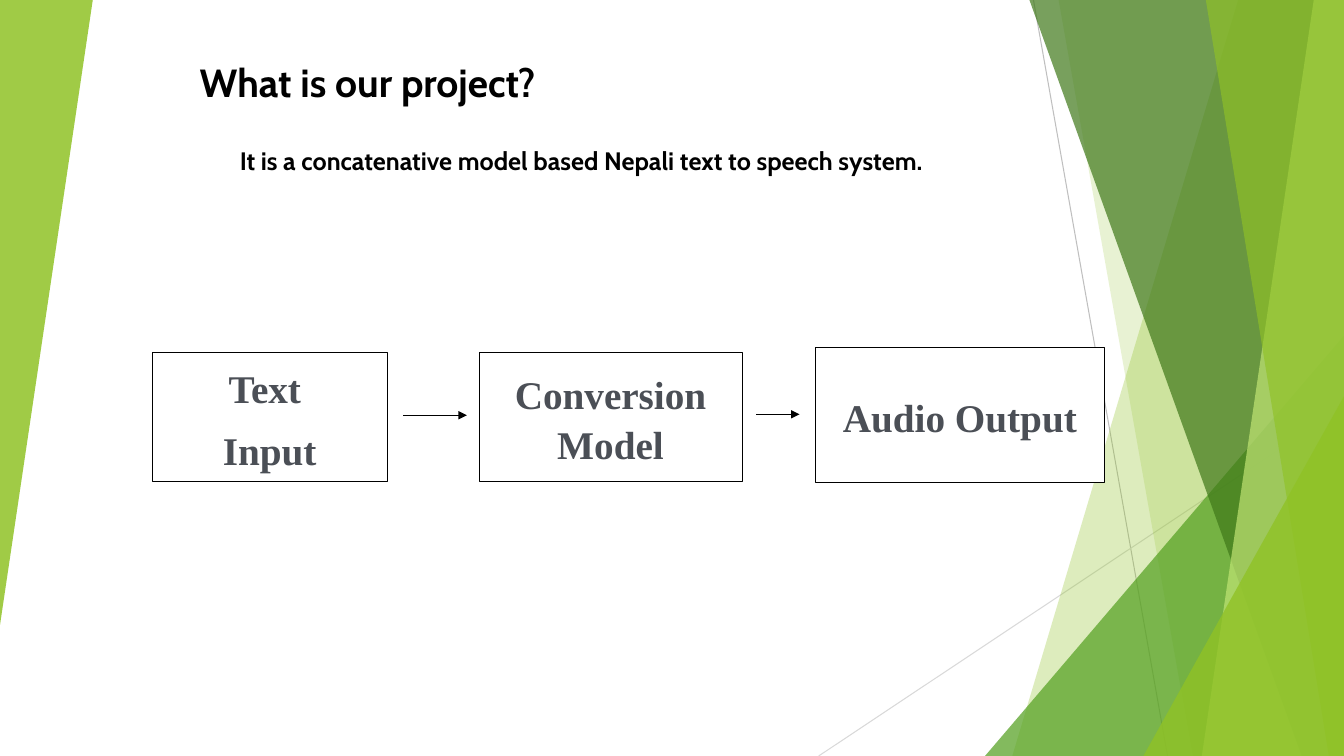
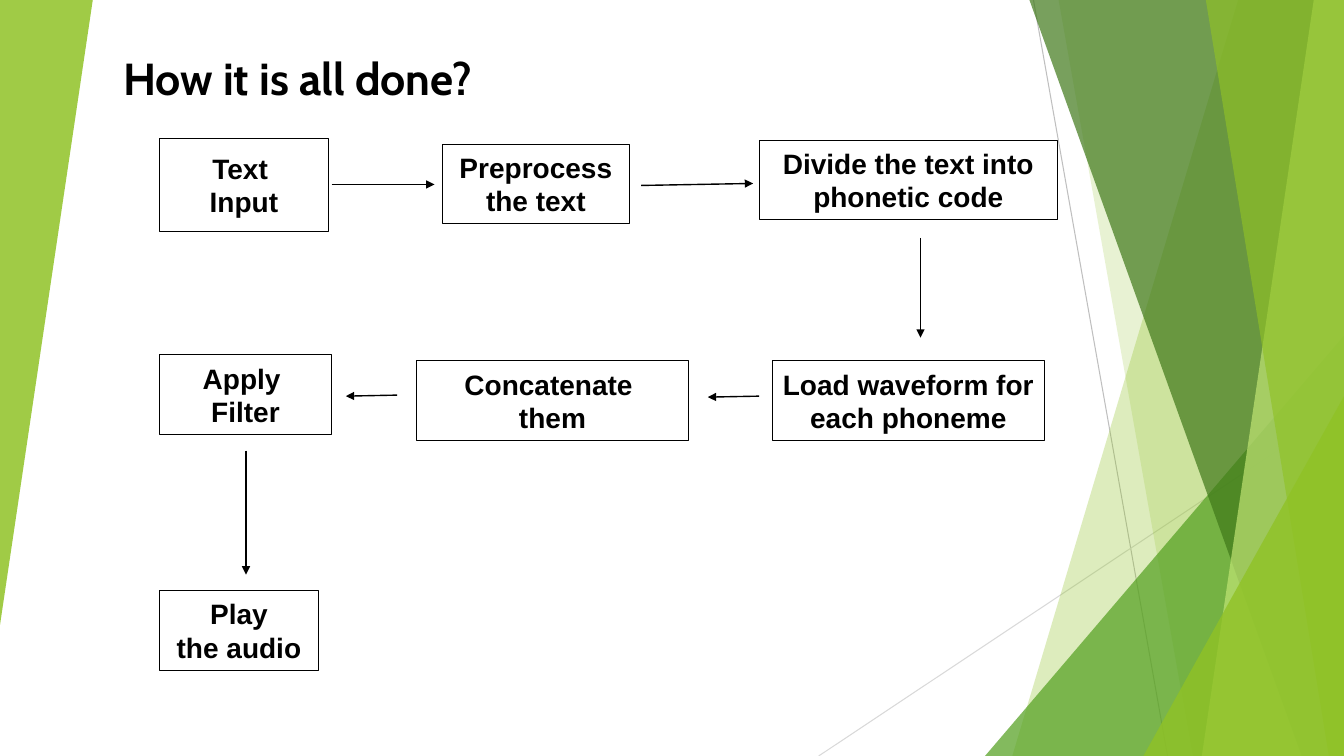
"""Build two slides that explain a text to speech project with flow diagrams."""
import pptx
import pptx.util
import pptx.dml.color
import pptx.enum.shapes
import pptx.enum.text
import pptx.oxml.ns
from lxml import etree

Inches = pptx.util.Inches
Pt = pptx.util.Pt
MSO_SHAPE = pptx.enum.shapes.MSO_SHAPE
PP_ALIGN = pptx.enum.text.PP_ALIGN
MSO_ANCHOR = pptx.enum.text.MSO_ANCHOR
qn = pptx.oxml.ns.qn

WIDTH, HEIGHT = 13.33, 7.5
COLORS = {
    "black": "000000", "white": "FFFFFF", "slate": "4B4F56",
    "gray": "BFBFBF", "silver": "D9D9D9",
    "lime": "90C226", "green": "54A021", "forest": "3F7819", "pale": "C0E474",
}

RAYS = [((10.25, 0), (11.58, HEIGHT), "gray"), ((WIDTH, 4.03), (8.12, HEIGHT), "silver")]
# kind, geometry, color, opacity in percent
FACETS = [
    ("band", (12.28, 10.04), "lime", 30),
    ("band", (10.5, 11.83), "lime", 20),
    ("triangle", (9.77, 3.33, 3.56, 4.17, 0), "green", 72),
    ("band", (10.21, 12.91), "forest", 70),
    ("band", (13.03, 11.92), "pale", 70),
    ("band", (11.96, 13.18), "lime", 65),
    ("triangle", (11.34, 3.93, 1.99, 3.57, 0), "lime", 80),
    ("triangle", (0, 0, 0.92, 6.2, 180), "lime", 85),
]

SLIDES = [
    {
        "title": ("What is our project?", (1.88, 0.53, 8.06, 0.57), 28),
        "subtitle": ("It is a concatenative model based Nepali text to speech system.",
                     (2.28, 1.39, 8.06, 0.4), 18),
        "box_style": {"name": "Times New Roman", "size": 28, "color": "slate",
                      "line_spacing": 1.07, "space_after": 8},
        "boxes": [
            (["Text ", "Input"], (1.51, 3.5, 2.33, 1.28)),
            (["Conversion Model"], (4.75, 3.5, 2.61, 1.28)),
            (["Audio Output"], (8.09, 3.45, 2.86, 1.34)),
        ],
        "arrows": [((4, 4.12), (4.63, 4.12)), ((7.5, 4.11), (7.93, 4.11))],
    },
    {
        "title": ("How it is all done?", (1.12, 0.45, 8.06, 0.64), 32),
        "box_style": {"name": "Arial", "size": 20, "color": "black"},
        "boxes": [
            (["Text ", "Input"], (1.58, 1.37, 1.68, 0.93)),
            (["Preprocess the text"], (4.39, 1.43, 1.85, 0.79)),
            (["Divide the text into phonetic code"], (7.53, 1.39, 2.96, 0.79)),
            (["Load waveform for each phoneme"], (7.66, 3.58, 2.7, 0.79)),
            (["Concatenate ", "them"], (4.13, 3.58, 2.7, 0.79)),
            (["Apply ", "Filter"], (1.58, 3.52, 1.71, 0.79)),
            (["Play", "the audio"], (1.58, 5.86, 1.58, 0.79)),
        ],
        "arrows": [
            ((3.29, 1.83), (4.31, 1.83)), ((6.36, 1.84), (7.47, 1.82)),
            ((9.13, 2.36), (9.13, 3.35)), ((7.53, 3.93), (7.02, 3.94)),
            ((3.94, 3.92), (3.43, 3.93)), ((2.44, 4.47), (2.44, 5.7)),
        ],
    },
]


def rgb(color):
    return pptx.dml.color.RGBColor.from_string(COLORS[color])


def inches(values):
    return [Inches(value) for value in values]


def write(frame, lines, size, name="Cabin", color="black", align=PP_ALIGN.LEFT,
          anchor=MSO_ANCHOR.TOP, line_spacing=None, space_after=None):
    frame.word_wrap = True
    frame.auto_size = pptx.enum.text.MSO_AUTO_SIZE.NONE
    frame.vertical_anchor = anchor
    frame.text = "\n".join(lines)
    for paragraph in frame.paragraphs:
        paragraph.alignment = align
        paragraph.line_spacing = line_spacing
        if space_after:
            paragraph.space_after = Pt(space_after)
        font = paragraph.font
        font.name, font.size, font.bold = name, Pt(size), True
        font.color.rgb = rgb(color)


def add_line(slide, start, end, color, width, arrow=False):
    connector = slide.shapes.add_connector(
        pptx.enum.shapes.MSO_CONNECTOR.STRAIGHT, *inches(start + end))
    connector.line.color.rgb = rgb(color)
    connector.line.width = Pt(width)
    properties = connector.element.spPr
    if arrow:
        etree.SubElement(properties.find(qn("a:ln")), qn("a:tailEnd"), type="triangle")
    etree.SubElement(properties, qn("a:effectLst"))
    return connector


def add_facet(slide, kind, geometry, color, opacity):
    if kind == "band":
        top, bottom = geometry
        builder = slide.shapes.build_freeform(Inches(top), 0)
        corners = [(WIDTH, 0), (WIDTH, HEIGHT), (bottom, HEIGHT)]
        builder.add_line_segments([inches(corner) for corner in corners], close=True)
        shape = builder.convert_to_shape()
    else:
        shape = slide.shapes.add_shape(MSO_SHAPE.ISOSCELES_TRIANGLE, *inches(geometry[:4]))
        shape.adjustments[0] = 1
        shape.rotation = geometry[4]
    shape.shadow.inherit = False
    shape.line.fill.background()
    shape.fill.solid()
    shape.fill.fore_color.rgb = rgb(color)
    fill_color = shape.element.spPr.find(qn("a:solidFill"))[0]
    etree.SubElement(fill_color, qn("a:alpha"), val=str(opacity * 1000))
    return shape


def decorate_layout(layout, slide):
    """Draw the shared facets on a slide and move them to its layout."""
    decoration = [add_line(slide, *ray, 0.75) for ray in RAYS]
    decoration += [add_facet(slide, *facet) for facet in FACETS]
    for index, shape in enumerate(decoration, start=2):
        layout.shapes.element.insert(index, shape.element)


def add_box(slide, lines, place, style):
    box = slide.shapes.add_shape(MSO_SHAPE.RECTANGLE, *inches(place))
    box.shadow.inherit = False
    box.fill.solid()
    box.fill.fore_color.rgb = rgb("white")
    box.line.color.rgb = rgb("black")
    box.line.width = Pt(0.5)
    write(box.text_frame, lines, align=PP_ALIGN.CENTER, anchor=MSO_ANCHOR.MIDDLE, **style)


def fill_slide(slide, content):
    text, place, size = content["title"]
    title = slide.shapes.title
    title.left, title.top, title.width, title.height = inches(place)
    write(title.text_frame, [text], size)
    if "subtitle" in content:
        text, place, size = content["subtitle"]
        write(slide.shapes.add_textbox(*inches(place)).text_frame, [text], size)
    for lines, place in content["boxes"]:
        add_box(slide, lines, place, content["box_style"])
    for start, end in content["arrows"]:
        add_line(slide, start, end, "black", 1, arrow=True)


def main():
    presentation = pptx.Presentation()
    presentation.slide_width, presentation.slide_height = inches((WIDTH, HEIGHT))
    layout = presentation.slide_layouts.get_by_name("Title Only")
    slides = [presentation.slides.add_slide(layout) for _ in SLIDES]
    decorate_layout(layout, slides[0])
    for slide, content in zip(slides, SLIDES):
        fill_slide(slide, content)
    presentation.save("out.pptx")


if __name__ == "__main__":
    main()
